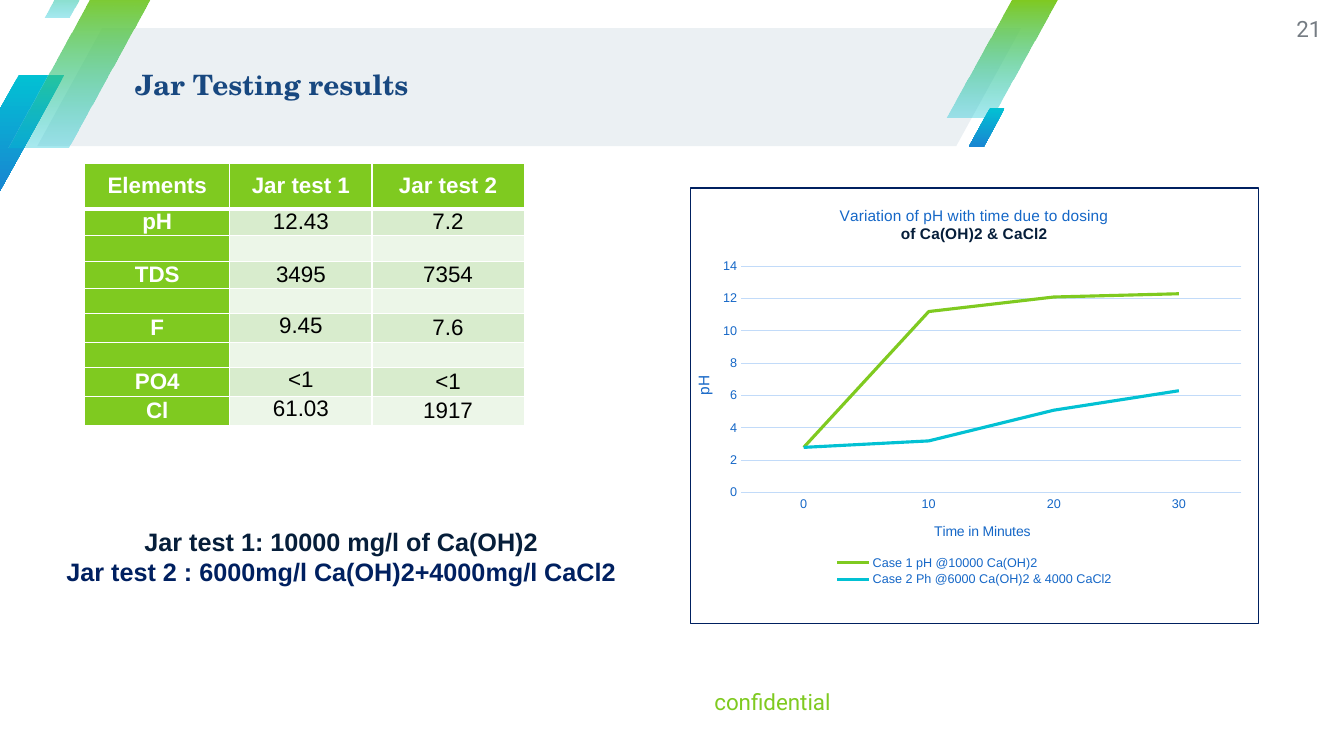
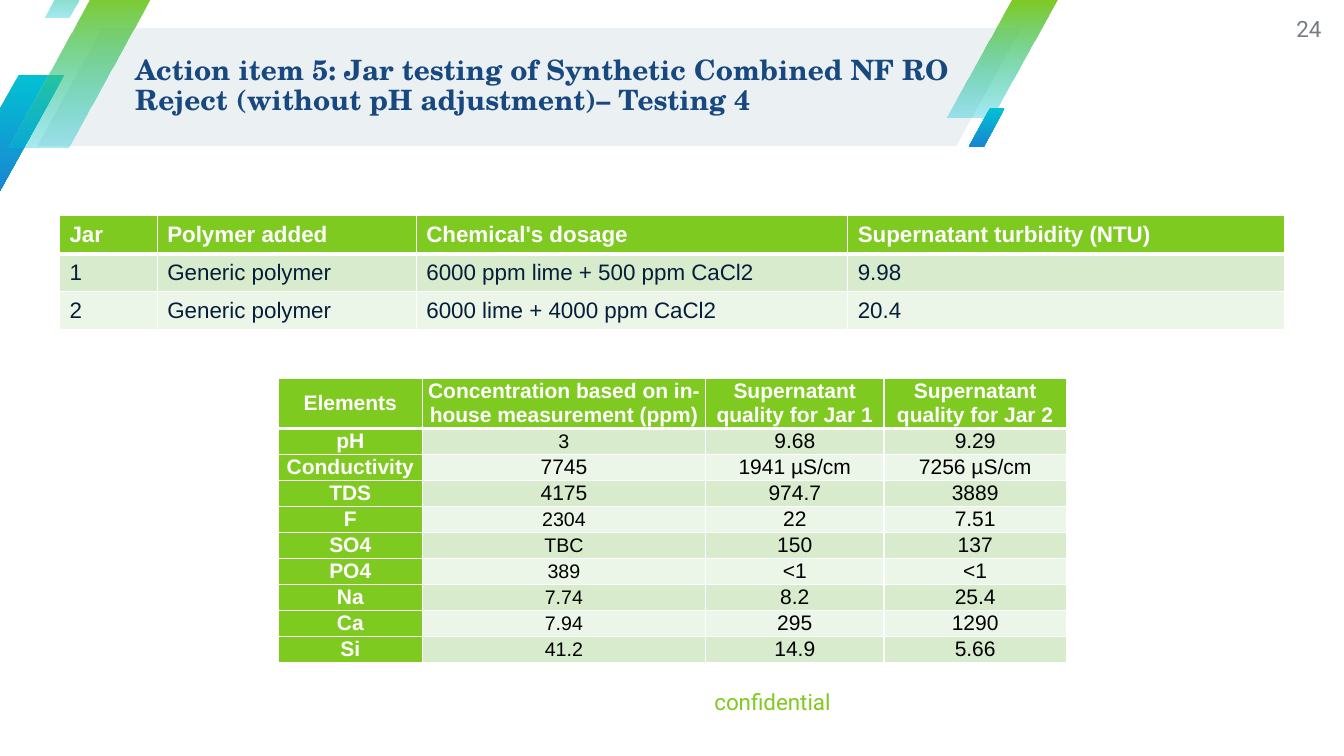
from lxml.etree import SubElement
from pptx import Presentation
from pptx.chart.data import CategoryChartData
from pptx.dml.color import RGBColor
from pptx.enum.chart import XL_CHART_TYPE as ChartType
from pptx.enum.chart import XL_LEGEND_POSITION as LegendPosition
from pptx.enum.chart import XL_TICK_MARK as TickMark
from pptx.enum.shapes import MSO_SHAPE as Preset
from pptx.enum.text import MSO_ANCHOR as Anchor
from pptx.enum.text import PP_ALIGN as Align
from pptx.oxml import parse_xml
from pptx.oxml.ns import nsdecls, qn
from pptx.util import Inches, Pt

UNIT = Inches(0.1)
COLUMNS, ROWS = 133.33, 75
GREEN, TEAL, BLUE = "7FCA20", "02C1D3", "1985D2"
NAVY, MIDNIGHT, WHITE, BLACK = "061E3A", "002060", "FFFFFF", "000000"
BAND_DARK, BAND_LIGHT = "D8ECCD", "ECF6E8"
CHART_BLUE, CHART_GRID = "1567C7", "C2DBF9"
HEADER_BAND = "EBF0F3"
FADE, SOLID = (GREEN, TEAL, 34), (TEAL, BLUE, 100)
STRIPES = [
    ((-4.6, 7.4, 11, 11.7), SOLID),
    ((93.9, 0, 11, 11.7), FADE),
    ((0.8, -1, 14.6, 15.6), FADE),
    ((4.4, -4.8, 6.1, 6.5), FADE),
    ((96.1, 10.7, 3.6, 3.9), SOLID),
]
TITLE = {"name": "TeX Gyre Schola", "size": 20, "color": "184880", "bold": True}
FOOTER = {"name": "Roboto", "size": 16, "color": GREEN}
PAGE_NUMBER = {**FOOTER, "color": "757C83"}
CAPTION = {"name": "Arial", "size": 18, "bold": True}
HEADING = {"name": "Arial", "color": WHITE, "bold": True}
NO_MARGIN = {"margin_left": 0, "margin_top": 0, "margin_right": 0, "margin_bottom": 0}
TIGHT = {**NO_MARGIN, "margin_left": Inches(0.03), "margin_right": Inches(0.03)}


def color(value):
    """Turn a hex string into a colour."""
    return RGBColor.from_string(value)


def grid(*lengths):
    """Turn grid units into slide lengths."""
    return [round(length * UNIT) for length in lengths]


def set_attributes(target, values):
    """Set each named attribute of the target."""
    for name, value in values.items():
        setattr(target, name, value)


def set_font(font, style):
    """Give a font its name, size, weight and colour."""
    values = {key: value for key, value in style.items() if key != "color"}
    if "size" in values:
        values["size"] = Pt(values["size"])
    set_attributes(font, values)
    font.color.rgb = color(style["color"])


def add_text(slide, box, lines, align=Align.LEFT, frame=None, spacing=1.0):
    """Write lines, each a text and its style, in a wrapping text box."""
    text_frame = slide.shapes.add_textbox(*grid(*box)).text_frame
    set_attributes(text_frame, {"word_wrap": True, **(frame or {})})
    for index, (text, style) in enumerate(lines):
        paragraph = text_frame.add_paragraph() if index else text_frame.paragraphs[0]
        set_attributes(paragraph, {"alignment": align, "line_spacing": spacing})
        run = paragraph.add_run()
        run.text = text
        set_font(run.font, style)


def add_parallelogram(slide, box, slant):
    """Draw a parallelogram without line or shadow."""
    shape = slide.shapes.add_shape(Preset.PARALLELOGRAM, *grid(*box))
    shape.adjustments[0] = slant
    shape.shadow.inherit = False
    shape.line.fill.background()
    return shape


def add_stripe(slide, box, start, end, opacity):
    """Draw a slanted stripe that shades from top to bottom."""
    shape = add_parallelogram(slide, box, 0.59)
    shape.fill.gradient()
    shape.fill.gradient_angle = 270
    for stop, value in zip(shape.fill.gradient_stops, (start, end)):
        stop.color.rgb = color(value)
    last_color = shape.element.xpath(".//a:gs/a:srgbClr")[-1]
    SubElement(last_color, qn("a:alpha"), val=str(opacity * 1000))


def add_page(presentation, title, number):
    """Add a slide with the header band, stripes, title and footer."""
    slide = presentation.slides.add_slide(presentation.slide_layouts[6])
    band = add_parallelogram(slide, (3.7, 2.8, 97.6, 11.7), 0.55)
    band.fill.solid()
    band.fill.fore_color.rgb = color(HEADER_BAND)
    for box, shading in STRIPES:
        add_stripe(slide, box, *shading)
    frame = {**NO_MARGIN, "vertical_anchor": Anchor.MIDDLE}
    add_text(slide, (46.7, 66.7, 35.7, 5.7), [("confidential", FOOTER)], Align.RIGHT, frame)
    add_text(slide, (13.4, 2.6, 87.9, 11.9), [(title, TITLE)], frame=frame, spacing=0.9)
    add_text(slide, (124.8, 0, 6.3, 5.7), [(str(number), PAGE_NUMBER)], Align.RIGHT, frame)
    return slide


def set_borders(cell, header):
    """Draw white cell borders, with a thick rule below the header."""
    properties = cell._tc.get_or_add_tcPr()
    for side in ("L", "R", "T", "B"):
        width = 3 if header and side == "B" else 1
        properties.append(parse_xml(
            f'<a:ln{side} {nsdecls("a")} w="{Pt(width)}"><a:solidFill>'
            f'<a:srgbClr val="{WHITE}"/></a:solidFill></a:ln{side}>'))


def fill_cell(cell, text, style, align, spacing):
    """Write one paragraph in a cell, or keep an empty cell low."""
    paragraph = cell.text_frame.paragraphs[0]
    set_attributes(paragraph, {"alignment": align, "line_spacing": spacing})
    if text:
        run = paragraph.add_run()
        run.text = text
        set_font(run.font, style)
    else:
        SubElement(paragraph._p, qn("a:endParaRPr"), sz=str(style["size"] * 50))


def add_table(slide, corner, widths, heights, records, size, value_color=BLACK,
              labels=True, align=Align.CENTER, margins=TIGHT, exceptions=None):
    """Draw a banded table; exceptions give a cell its own size, anchor or spacing."""
    box = (*corner, sum(widths), sum(heights))
    table = slide.shapes.add_table(len(heights), len(widths), *grid(*box)).table
    table.horz_banding = False
    for column, width in zip(table.columns, grid(*widths)):
        column.width = width
    for row, height in zip(table.rows, grid(*heights)):
        row.height = height
    for row, record in enumerate(records):
        for column, text in enumerate(record):
            cell = table.cell(row, column)
            own = (exceptions or {}).get((row, column), {})
            heading = row == 0 or (labels and column == 0)
            style = {**HEADING, "size": own.get("size", size)}
            if not heading:
                style.update(color=value_color, bold=False)
            anchor = own.get("anchor", Anchor.MIDDLE)
            set_attributes(cell, {"vertical_anchor": anchor, **margins})
            set_borders(cell, row == 0)
            cell.fill.solid()
            band = BAND_DARK if row % 2 else BAND_LIGHT
            cell.fill.fore_color.rgb = color(GREEN if heading else band)
            fill_cell(cell, text, style, align, own.get("spacing", 1.0))


def make_layout(left, top, width, height, inner=False):
    """Build a manual chart layout from shares of the chart's size."""
    target = '<c:layoutTarget val="inner"/>' if inner else ""
    return parse_xml(
        f'<c:layout {nsdecls("c")}><c:manualLayout>{target}'
        f'<c:xMode val="edge"/><c:yMode val="edge"/><c:x val="{left}"/><c:y val="{top}"/>'
        f'<c:w val="{width}"/><c:h val="{height}"/></c:manualLayout></c:layout>')


def place_part(part, layout, index):
    """Replace the layout of a chart part."""
    for previous in part.findall(qn("c:layout")):
        part.remove(previous)
    part.insert(index, layout)


def write_title(text_frame, lines):
    """Write the lines of a chart or axis title."""
    for index, (text, style) in enumerate(lines):
        paragraph = text_frame.add_paragraph() if index else text_frame.paragraphs[0]
        run = paragraph.add_run()
        run.text = text
        set_font(run.font, {"name": "Arial", "bold": False, **style})


def style_axis(axis, title, size):
    """Give an axis its title, label font and tick marks."""
    set_attributes(axis, {"major_tick_mark": TickMark.NONE, "minor_tick_mark": TickMark.NONE})
    set_font(axis.tick_labels.font, {"name": "Arial", "size": 9, "color": CHART_BLUE})
    write_title(axis.axis_title.text_frame, [(title, {"size": size, "color": CHART_BLUE})])


def add_line_chart(slide, box, title, categories, series):
    """Draw the line chart with its border, axes and legend."""
    data = CategoryChartData()
    data.categories = categories
    for name, values, _ in series:
        data.add_series(name, values)
    chart = slide.shapes.add_chart(ChartType.LINE, *grid(*box), data).chart
    set_font(chart.font, {"name": "Arial", "size": 10, "color": NAVY})
    write_title(chart.chart_title.text_frame, title)
    chart.plots[0].vary_by_categories = False
    for line, (_, _, line_color) in zip(chart.plots[0].series, series):
        line.smooth = False
        line.format.line.width = Pt(2.25)
        line.format.line.color.rgb = color(line_color)
    style_axis(chart.category_axis, "Time in Minutes", 10)
    style_axis(chart.value_axis, "pH", 11)
    set_attributes(chart.value_axis, {"minimum_scale": 0, "maximum_scale": 14, "major_unit": 2})
    chart.value_axis.format.line.fill.background()
    for rule in (chart.category_axis, chart.value_axis.major_gridlines):
        rule.format.line.width = Pt(0.75)
        rule.format.line.color.rgb = color(CHART_GRID)
    chart.has_legend = True
    set_attributes(chart.legend, {"position": LegendPosition.BOTTOM, "include_in_layout": False})
    set_font(chart.legend.font, {"name": "Arial", "size": 9, "color": CHART_BLUE})
    root = chart.element
    place_part(root.chart.plotArea, make_layout(0.09, 0.18, 0.88, 0.52, True), 0)
    place_part(root.chart.find(qn("c:legend")), make_layout(0.25, 0.84, 0.5, 0.08), 1)
    root.chart.addnext(parse_xml(
        f'<c:spPr {nsdecls("c", "a")}><a:noFill/><a:ln w="{Pt(0.75)}"><a:solidFill>'
        f'<a:srgbClr val="{MIDNIGHT}"/></a:solidFill></a:ln></c:spPr>'))


def build_results(presentation):
    """Build the slide with the jar test table and the pH chart."""
    slide = add_page(presentation, "Jar Testing results", 21)
    gap = ("", "", "")
    records = [
        ("Elements", "Jar test 1", "Jar test 2"),
        ("pH", "12.43", "7.2"), gap,
        ("TDS", "3495", "7354"), gap,
        ("F", "9.45", "7.6"), gap,
        ("PO4", "<1", "<1"),
        ("Cl", "61.03", "1917"),
    ]
    exceptions = {}
    for row in (5, 7, 8):
        exceptions[row, 1] = {"anchor": Anchor.TOP}
        exceptions[row, 2] = {"anchor": Anchor.TOP, "spacing": 1.07}
    heights = [4.5, 2.6, 2.55, 2.6, 2.55, 2.8, 2.45, 2.9, 2.8]
    add_table(slide, (8.4, 16.2), [14.4, 14.1, 15.1], heights, records, 16,
              exceptions=exceptions)
    captions = [
        ("Jar test 1: 10000 mg/l of Ca(OH)2", {**CAPTION, "color": NAVY}),
        ("Jar test 2 : 6000mg/l Ca(OH)2+4000mg/l CaCl2", {**CAPTION, "color": MIDNIGHT}),
    ]
    add_text(slide, (2.8, 51.7, 62.1, 7), captions, Align.CENTER)
    title = [
        ("Variation of pH with time due to dosing", {"size": 11, "color": CHART_BLUE}),
        ("of Ca(OH)2 & CaCl2", {"size": 11, "color": NAVY, "bold": True}),
    ]
    series = [
        ("Case 1 pH @10000 Ca(OH)2", (2.8, 11.2, 12.1, 12.3), GREEN),
        ("Case 2 Ph @6000 Ca(OH)2 & 4000 CaCl2", (2.8, 3.2, 5.1, 6.3), TEAL),
    ]
    add_line_chart(slide, (68.4, 18.6, 56.5, 43.3), title, ["0", "10", "20", "30"], series)


def build_action_item(presentation):
    """Build the slide with the dosage and the water quality tables."""
    slide = add_page(presentation, "Action item 5: Jar testing of Synthetic Combined NF RO "
                     "Reject (without pH adjustment)– Testing 4", 24)
    quality = [
        ("Elements", "Concentration based on in-house measurement (ppm)",
         "Supernatant quality for Jar 1", "Supernatant quality for Jar 2"),
        ("pH", "3", "9.68", "9.29"),
        ("Conductivity", "7745", "1941 µS/cm", "7256 µS/cm"),
        ("TDS", "4175", "974.7", "3889"),
        ("F", "2304", "22", "7.51"),
        ("SO4", "TBC", "150", "137"),
        ("PO4", "389", "<1", "<1"),
        ("Na", "7.74", "8.2", "25.4"),
        ("Ca", "7.94", "295", "1290"),
        ("Si", "41.2", "14.9", "5.66"),
    ]
    small = {(row, 1): {"size": 14} for row in (1, *range(4, 10))}
    add_table(slide, (27.6, 37.5), [14.3, 28.1, 17.7, 18.1], [5, *[2.58] * 9], quality, 15,
              exceptions=small)
    polymer = "Generic polymer"
    dosage = [
        ("Jar", "Polymer added", "Chemical's dosage", "Supernatant turbidity (NTU)"),
        ("1", polymer, "6000 ppm lime + 500 ppm CaCl2", "9.98"),
        ("2", polymer, "6000 lime + 4000 ppm CaCl2", "20.4"),
    ]
    add_table(slide, (5.9, 21.4), [9.7, 25.7, 42.8, 43.3], [3.77] * 3, dosage, 16,
              value_color=NAVY, labels=False, align=Align.LEFT, margins={})


def main():
    """Build and save the presentation."""
    presentation = Presentation()
    presentation.slide_width, presentation.slide_height = grid(COLUMNS, ROWS)
    build_results(presentation)
    build_action_item(presentation)
    presentation.save("out.pptx")


if __name__ == "__main__":
    main()
